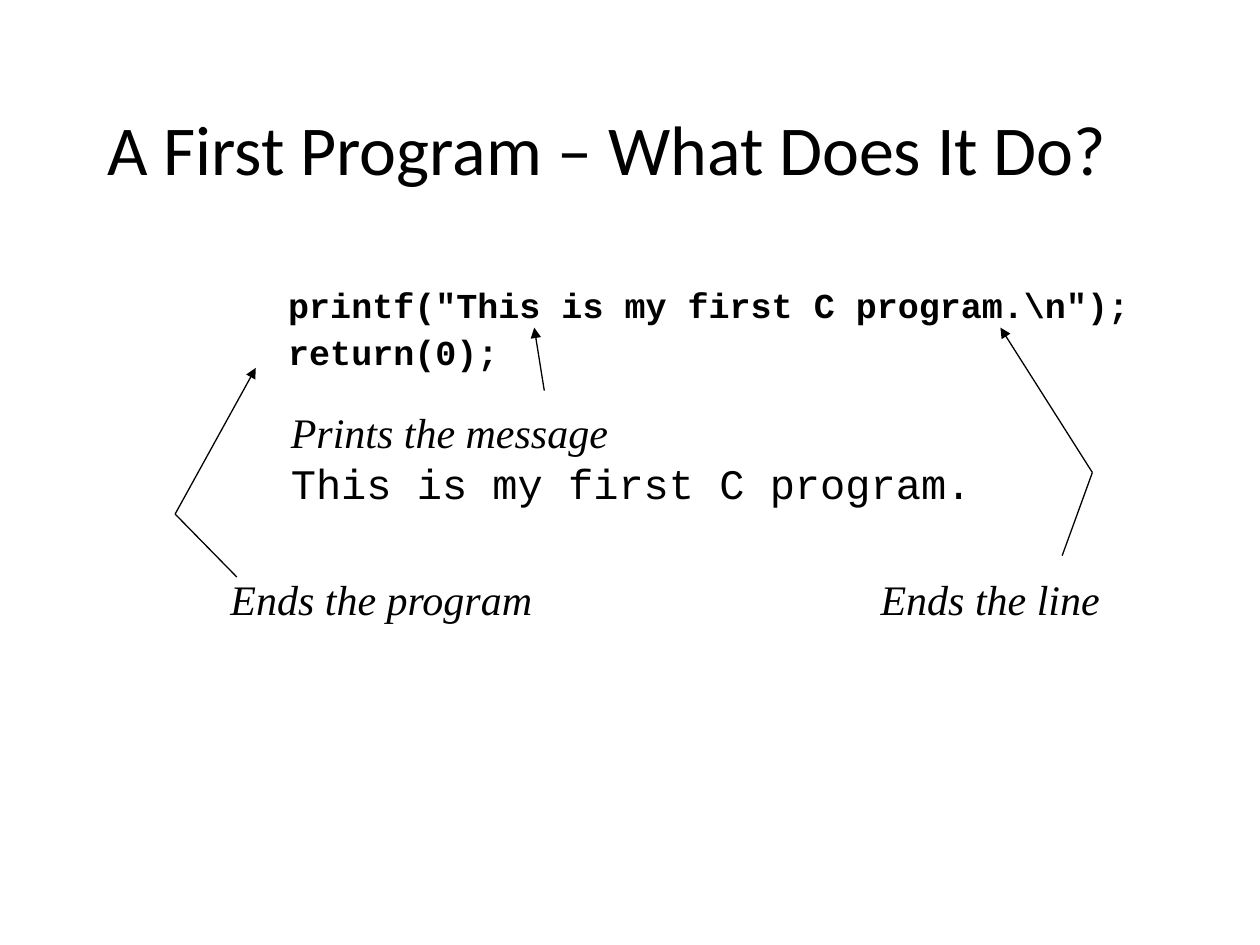
import itertools
import pptx
import pptx.util
import pptx.dml.color
import pptx.enum.shapes
import pptx.enum.text
import pptx.oxml
import pptx.oxml.ns

Pt = pptx.util.Pt
Align = pptx.enum.text.PP_ALIGN
Fit = pptx.enum.text.MSO_AUTO_SIZE

THEME = {
    "ink": pptx.dml.color.RGBColor(0, 0, 0),
    "line": 0.75,
    "title": {"name": "Calibri", "size": 40},
    "code": {"name": "Courier New", "size": 20, "bold": True},
    "note": {"name": "Times New Roman", "size": 24, "italic": True},
    "output": {"name": "Courier New", "size": 24},
}

# Content: boxes are left, top, width, height in points
TITLE = "A First Program – What Does It Do?"
TITLE_BOX = (54, 48.24, 612, 77.76)
CODE = ['printf("This is my first C program.\\n");', "return(0);"]
CODE_BOX = (54, 156.24, 612, 73.44)
CODE_INDENT = 103.5
CODE_GAP = 5
NOTES = [
    ((159.12, 228.96, 403.2, 64.8), [("Prints the message", "note"),
                                     ("This is my first C program.", "output")]),
    ((124.56, 324, 187.92, 36), [("Ends the program", "note")]),
    ((496.08, 324, 139.68, 36), [("Ends the line", "note")]),
]
# Each path runs from its note to the code; the last leg bears the arrowhead
PATHS = [
    [(311.04, 223.2), (305.28, 187.2)],
    [(135.36, 329.76), (100.08, 293.76), (146.16, 210.24)],
    [(606.96, 317.52), (624.24, 270), (571.68, 187.2)],
]


def place(shape, box):
    shape.left, shape.top, shape.width, shape.height = map(Pt, box)


def style(para, kind):
    look = THEME[kind]
    font = para.font
    font.name, font.size = look["name"], Pt(look["size"])
    font.bold = look.get("bold", False)
    font.italic = look.get("italic", False)
    font.color.rgb = THEME["ink"]


def fill(frame, lines):
    frame.text = "\n".join(text for text, kind in lines)
    for para, (text, kind) in zip(frame.paragraphs, lines):
        para.alignment = Align.LEFT
        style(para, kind)


def draw(slide, start, end, head):
    leg = slide.shapes.add_connector(
        pptx.enum.shapes.MSO_CONNECTOR.STRAIGHT, *map(Pt, start + end))
    leg.line.color.rgb = THEME["ink"]
    leg.line.width = Pt(THEME["line"])
    props = leg.element.spPr
    if head:
        tail = pptx.oxml.ns.qn("a:tailEnd")
        props.ln.append(props.ln.makeelement(tail, {"type": "triangle"}))
    props.append(props.makeelement(pptx.oxml.ns.qn("a:effectLst"), {}))


deck = pptx.Presentation()
deck.slide_width, deck.slide_height = Pt(720), Pt(540)
slide = deck.slides.add_slide(deck.slide_layouts[1])

# Title
title = slide.shapes.title
place(title, TITLE_BOX)
fill(title.text_frame, [(TITLE, "title")])
title.text_frame.auto_size = Fit.NONE
title.text_frame.vertical_anchor = pptx.enum.text.MSO_ANCHOR.MIDDLE
title.text_frame.paragraphs[0].line_spacing = 0.9

# Code
body = slide.placeholders[1]
place(body, CODE_BOX)
frame = body.text_frame
fill(frame, [(text, "code") for text in CODE])
frame.auto_size = Fit.NONE
frame.margin_top = Pt(8.6)
for row, para in enumerate(frame.paragraphs):
    para.line_spacing = 0.9
    para.space_before = Pt(CODE_GAP if row else 0)
    props = para._p.get_or_add_pPr()
    props.set("marL", str(Pt(CODE_INDENT)))
    props.set("indent", "0")
    bullet = props.makeelement(pptx.oxml.ns.qn("a:buNone"), {})
    props.find(pptx.oxml.ns.qn("a:defRPr")).addprevious(bullet)

# Notes
for box, lines in NOTES:
    frame = slide.shapes.add_textbox(*map(Pt, box)).text_frame
    frame.word_wrap = False
    frame.auto_size = Fit.SHAPE_TO_FIT_TEXT
    fill(frame, lines)

# Arrows
for path in PATHS:
    for start, end in itertools.pairwise(path):
        draw(slide, start, end, head=end == path[-1])

deck.save("out.pptx")
